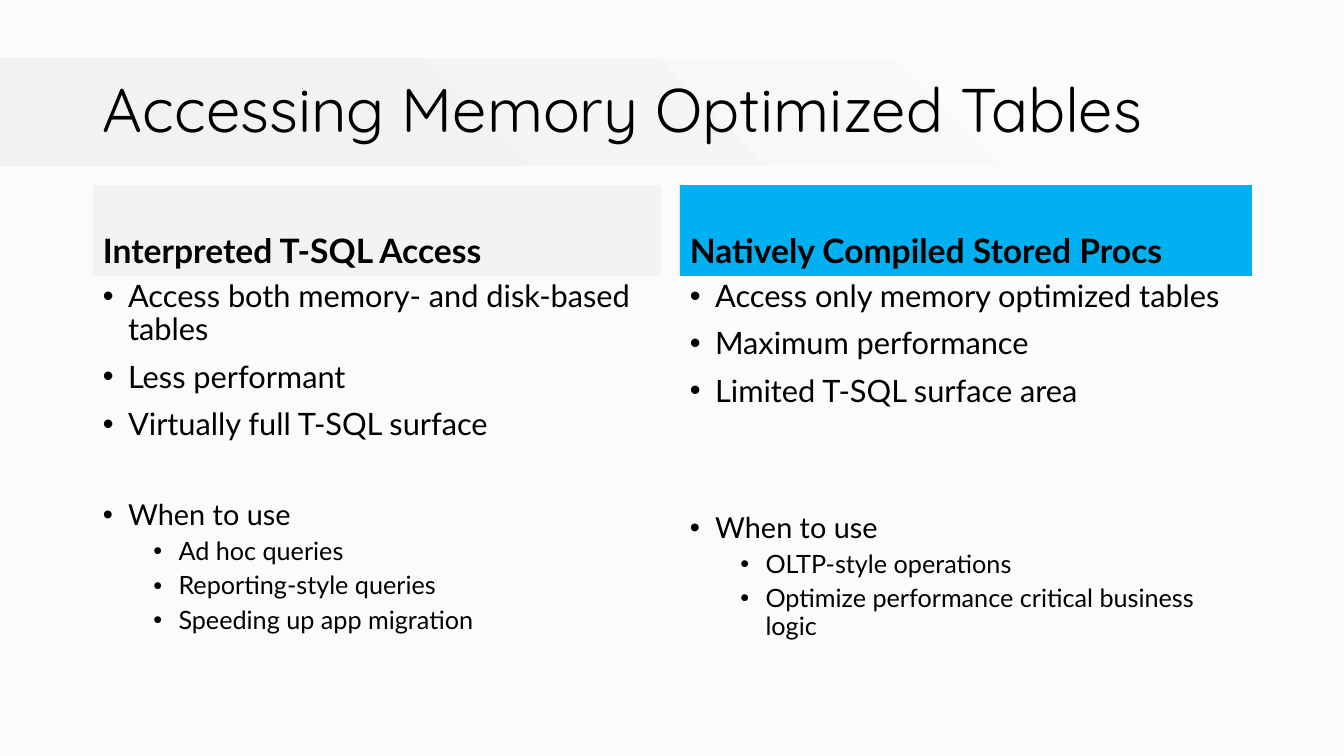
from dataclasses import dataclass

from lxml import etree
from pptx import Presentation
from pptx.dml.color import RGBColor
from pptx.enum.shapes import MSO_SHAPE
from pptx.enum.text import MSO_ANCHOR, PP_ALIGN
from pptx.oxml import parse_xml
from pptx.oxml.ns import qn
from pptx.util import Emu, Pt

RECT = MSO_SHAPE.RECTANGLE
TOP, MIDDLE, BOTTOM = MSO_ANCHOR.TOP, MSO_ANCHOR.MIDDLE, MSO_ANCHOR.BOTTOM
LEFT = PP_ALIGN.LEFT

PAPER = RGBColor(0xFB, 0xFB, 0xFB)
GRAY = RGBColor(0xF2, 0xF2, 0xF2)
BLUE = RGBColor(0x00, 0xB0, 0xF0)
BLACK = RGBColor(0x00, 0x00, 0x00)

HEADING_FONT, BODY_FONT = "Quicksand", "Lato"
HEAD_TOP, HEAD_H = 185, 91
BODY_TOP, BODY_H = HEAD_TOP + HEAD_H, 406
INDENT = 0.25 * 914400  # hanging indent of every bullet

BAND_GRADIENT = f"""
<a:gradFill xmlns:a="http://schemas.openxmlformats.org/drawingml/2006/main" rotWithShape="1">
  <a:gsLst>
    <a:gs pos="24000"><a:srgbClr val="{GRAY}"/></a:gs>
    <a:gs pos="100000"><a:srgbClr val="{PAPER}"/></a:gs>
  </a:gsLst>
  <a:path path="circle"><a:fillToRect t="100000" r="100000"/></a:path>
</a:gradFill>"""


@dataclass
class Item:
    text: str
    size: float = 22
    before: float = 10
    level: int = 0


@dataclass
class Column:
    left: int
    width: int
    color: RGBColor
    heading: str
    items: list[Item]


def sub(text: str) -> Item:
    return Item(text, 18, 5, 1)


COLUMNS = [
    Column(93, 568, GRAY, "Interpreted T-SQL Access", [
        Item("Access both memory- and disk-based tables"),
        Item("Less performant"),
        Item("Virtually full T-SQL surface"),
        Item("When to use", 20.6, 42),
        sub("Ad hoc queries"),
        sub("Reporting-style queries"),
        sub("Speeding up app migration"),
    ]),
    Column(680, 572, BLUE, "Natively Compiled Stored Procs", [
        Item("Access only memory optimized tables"),
        Item("Maximum performance"),
        Item("Limited T-SQL surface area"),
        Item("When to use", 20.6, 75),
        sub("OLTP-style operations"),
        sub("Optimize performance critical business logic"),
    ]),
]


def px(n: int) -> Emu:
    return Emu(round(n * 914400 / 100.8))


def add_rect(s, left: int, top: int, width: int, height: int):
    sp = s.shapes.add_shape(RECT, px(left), px(top), px(width), px(height))
    sp.shadow.inherit = False
    sp.line.fill.background()
    return sp


def add_text(s, left: int, top: int, width: int, height: int):
    return s.shapes.add_textbox(px(left), px(top), px(width), px(height))


def set_frame(sp, anchor):
    tf = sp.text_frame
    tf.word_wrap = True
    tf.vertical_anchor = anchor
    return tf


def write(p, text: str, size: float, font: str = BODY_FONT, bold: bool = False) -> None:
    p.alignment = LEFT
    p.line_spacing = 0.9
    r = p.add_run()
    r.text = text
    r.font.name = font
    r.font.size = Pt(size)
    r.font.bold = bold
    r.font.color.rgb = BLACK


def add_bullet(p, level: int) -> None:
    p.level = level
    pPr = p._p.get_or_add_pPr()
    pPr.set("marL", str(int(INDENT * (1 + 2 * level))))
    pPr.set("indent", str(int(-INDENT)))
    etree.SubElement(pPr, qn("a:buFont"), typeface="Arial")
    etree.SubElement(pPr, qn("a:buChar"), char="•")


def add_column(s, col: Column) -> None:
    # Coloured heading
    sp = add_rect(s, col.left, HEAD_TOP, col.width, HEAD_H)
    sp.fill.solid()
    sp.fill.fore_color.rgb = col.color
    write(set_frame(sp, BOTTOM).paragraphs[0], col.heading, 24, bold=True)

    # Bulleted list
    tf = set_frame(add_text(s, col.left, BODY_TOP, col.width, BODY_H), TOP)
    for i, item in enumerate(col.items):
        p = tf.add_paragraph() if i else tf.paragraphs[0]
        add_bullet(p, item.level)
        if i:
            p.space_before = Pt(item.before)
        write(p, item.text, item.size)


def main() -> None:
    prs = Presentation()
    prs.slide_width, prs.slide_height = px(1344), px(756)
    s = prs.slides.add_slide(prs.slide_layouts[6])
    s.background.fill.solid()
    s.background.fill.fore_color.rgb = PAPER

    # Fading band behind the title
    band = add_rect(s, -2, 59, 1133, 107)
    band._element.spPr.find(qn("a:prstGeom")).addnext(parse_xml(BAND_GRADIENT))

    # Title
    tf = set_frame(add_text(s, 93, 40, 1159, 146), MIDDLE)
    write(tf.paragraphs[0], "Accessing Memory Optimized Tables", 44, HEADING_FONT)

    for col in COLUMNS:
        add_column(s, col)
    prs.save("out.pptx")


if __name__ == "__main__":
    main()
